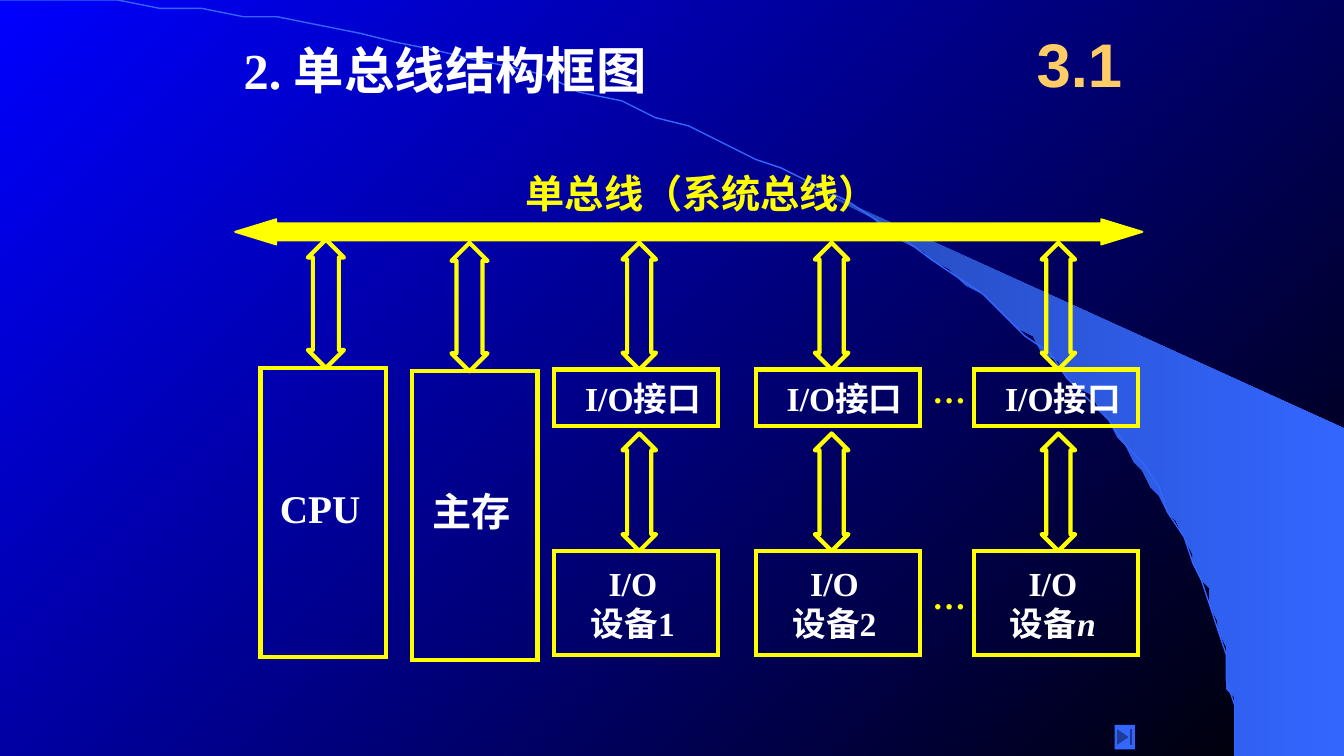
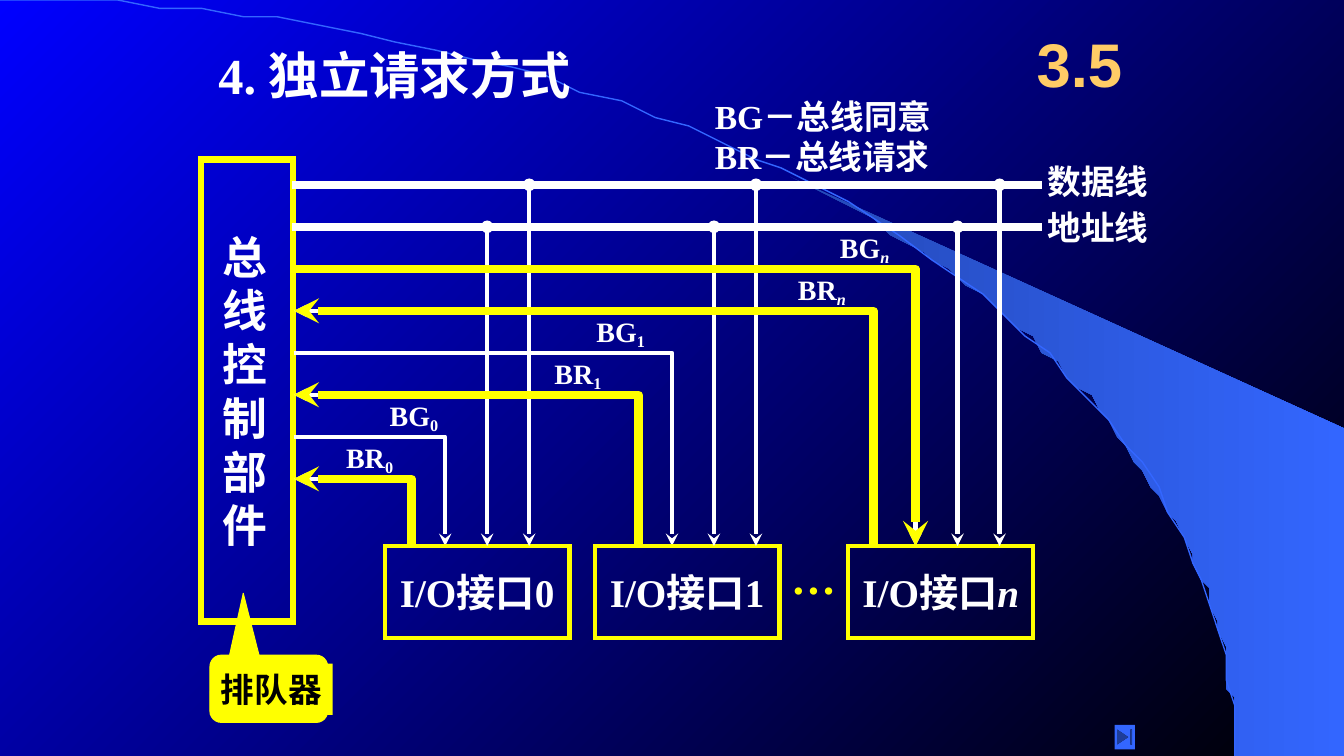
from dataclasses import dataclass
from math import asin, cos, pi, sin
from typing import NamedTuple, Optional

from lxml.etree import SubElement
from pptx import Presentation
from pptx.dml.color import RGBColor
from pptx.enum.shapes import MSO_CONNECTOR, MSO_SHAPE
from pptx.enum.text import MSO_ANCHOR, MSO_AUTO_SIZE, PP_ALIGN
from pptx.oxml.ns import qn
from pptx.util import Emu, Pt

# Grid: the slide is 160 columns by 90 rows, each cell 1/12 inch
COLS, ROWS = 160, 90
CELL = 76200

BLUE, BLACK, WHITE, YELLOW = "0000FF", "000000", "FFFFFF", "FFFF00"
SKY, DEEP, GOLD = "3366FF", "2449B6", "FFCC66"
SERIF, SANS, HAN = "Times New Roman", "Arial", "Noto Sans CJK SC"


class Box(NamedTuple):
    x: float
    y: float
    w: float
    h: float


class Run(NamedTuple):
    text: str
    italic: bool = False
    sub: bool = False


@dataclass
class Style:
    size: float
    color: str = WHITE
    font: str = SERIF
    align: PP_ALIGN = PP_ALIGN.LEFT
    anchor: MSO_ANCHOR = MSO_ANCHOR.MIDDLE


@dataclass
class Signal:
    name: str
    index: Run
    col: float
    row: float
    label_x: float
    grant: bool
    strong: bool


@dataclass
class Interface:
    left: float
    index: Run
    address: float
    data: float


TITLE = Style(36, anchor=MSO_ANCHOR.TOP)
LABEL = Style(24)
CENTRED = Style(28, align=PP_ALIGN.CENTER)
SMALL = Style(24, align=PP_ALIGN.CENTER)


def rgb(code: str) -> RGBColor:
    return RGBColor.from_string(code)


def u(cells: float) -> Emu:
    return Emu(round(cells * CELL))


def place(sp, box: Box) -> None:
    sp.left, sp.top, sp.width, sp.height = map(u, box)


def write(sp, paras: list, st: Style, dx: float = 0, dy: float = 0) -> None:
    """Fill a shape with paragraphs of runs; dx and dy shift the text."""
    tf = sp.text_frame
    tf.word_wrap = True
    tf.auto_size = MSO_AUTO_SIZE.NONE
    tf.vertical_anchor = st.anchor
    tf.margin_left, tf.margin_right = u(max(0, 2 * dx)), u(max(0, -2 * dx))
    tf.margin_top, tf.margin_bottom = u(max(0, 2 * dy)), u(max(0, -2 * dy))
    for i, runs in enumerate(paras):
        p = tf.add_paragraph() if i else tf.paragraphs[0]
        p.alignment = st.align
        for run in runs:
            r = p.add_run()
            r.text = run.text
            r.font.name, r.font.size, r.font.bold = st.font, Pt(st.size), True
            r.font.color.rgb = rgb(st.color)
            if run.italic:
                r.font.italic = True
            if run.sub:
                r.font.element.set("baseline", "-20000") if hasattr(
                    r.font, "element") else r._r.get_or_add_rPr().set(
                    "baseline", "-20000")


def label(s, box: Box, paras: list, st: Style) -> None:
    sp = s.shapes.add_textbox(*map(u, box))
    write(sp, paras, st)


def paint(sp, fill: Optional[str] = None, line: Optional[str] = None,
          width: float = 3) -> None:
    sp.shadow.inherit = False
    if fill:
        sp.fill.solid()
        sp.fill.fore_color.rgb = rgb(fill)
    else:
        sp.fill.background()
    if line:
        sp.line.color.rgb = rgb(line)
        sp.line.width = Pt(width)
    else:
        sp.line.fill.background()


def preset(s, kind: MSO_SHAPE, box: Box, adj: tuple = (), **look):
    sp = s.shapes.add_shape(kind, *map(u, box))
    for i, value in enumerate(adj):
        sp.adjustments[i] = value
    paint(sp, **look)
    return sp


def frame(s, box: Box, paras: list, st: Style, width: float = 3,
          dx: float = 0, dy: float = 0) -> None:
    """Yellow outlined box with sharp corners."""
    sp = preset(s, MSO_SHAPE.RECTANGLE, box, line=YELLOW, width=width)
    SubElement(sp.element.spPr.find(qn("a:ln")), qn("a:miter"), lim="800000")
    write(sp, paras, st, dx, dy)


def outline(s, points: list, close: bool = False):
    fb = s.shapes.build_freeform(*points[0], scale=float(CELL))
    fb.add_line_segments(points[1:], close=close)
    return fb.convert_to_shape()


def ends(sp, tail: str, head: str = "none") -> None:
    ln = sp.element.spPr.find(qn("a:ln"))
    SubElement(ln, qn("a:headEnd"), type=head)
    SubElement(ln, qn("a:tailEnd"), type=tail)


def straight(s, x1: float, y1: float, x2: float, y2: float, width: float):
    c = s.shapes.add_connector(MSO_CONNECTOR.STRAIGHT, *map(u, (x1, y1, x2, y2)))
    c.line.color.rgb = rgb(WHITE)
    c.line.width = Pt(width)
    SubElement(c.element.spPr, qn("a:effectLst"))
    return c


def gradient(fill, first: str, last: str, angle: float) -> None:
    fill.gradient()
    fill.gradient_angle = angle
    for stop, color, at in zip(fill.gradient_stops, (first, last), (0, 1)):
        stop.color.rgb = rgb(color)
        stop.position = at


# Shared look
def arc(start: float, steps: int = 48) -> list:
    """Points of the elliptic sweep from an angle to the bottom edge."""
    rx, ry = 147.1, 89.9
    angles = [start + (pi / 2 - start) * i / steps for i in range(steps + 1)]
    return [(rx * sin(a), ry * (1 - cos(a))) for a in angles]


def decorate(prs, layout, s) -> None:
    """Set the master background and put the sweep on the layout."""
    gradient(prs.slide_master.background.fill, BLUE, BLACK, 315)
    beam = outline(s, arc(asin(94.3 / 147.1)) + [(159.7, 89.9), (159.7, 50.8)], True)
    paint(beam)
    gradient(beam.fill, DEEP, SKY, 0)
    curve = outline(s, arc(0))
    paint(curve, line=SKY, width=1)
    for sp in (beam, curve):
        layout.shapes.element.append(sp.element)


def start_slide(s, title: str, box: Box, section: str) -> None:
    place(s.shapes.title, box)
    write(s.shapes.title, [[Run(title)]], TITLE)
    label(s, Box(121, 2, 15, 11), [[Run(section)]],
          Style(44, GOLD, SANS, PP_ALIGN.CENTER))
    preset(s, MSO_SHAPE.ACTION_BUTTON_END, Box(132.7, 86.3, 2.4, 2.9), fill=SKY)


# Slide: single bus structure
def single_bus(s) -> None:
    start_slide(s, "2. 单总线结构框图", Box(29, 4.6, 48.6, 16), "3.1")
    label(s, Box(62.6, 20, 44, 6), [[Run("单总线（系统总线）")]],
          Style(28, YELLOW, HAN))
    preset(s, MSO_SHAPE.LEFT_RIGHT_ARROW, Box(28, 26.1, 108, 3), (0.68, 1.63),
           fill=YELLOW, line=YELLOW, width=1.38)

    def link(centre: float, top: float, bottom: float, w: float = 4) -> None:
        preset(s, MSO_SHAPE.UP_DOWN_ARROW, Box(centre - w / 2, top, w, bottom - top),
               (0.5, 0.72), line=YELLOW)

    for name, x, top, centre in (("CPU", 31, 43.8, 38.8), ("主存", 49, 44.2, 55.9)):
        frame(s, Box(x, top, 15, 34.4), [[Run(name)]], CENTRED, dx=-0.4, dy=-0.6)
        link(centre, top - 15.3, top, 4.3)

    columns = ((66, 76.1, Run("1")), (90, 99, Run("2")),
               (116, 126, Run("n", italic=True)))
    for x, centre, index in columns:
        frame(s, Box(x, 44, 19.5, 6.75), [[Run("I/O接口")]], SMALL, dx=0.8)
        frame(s, Box(x, 65.6, 19.5, 12.4),
              [[Run("I/O")], [Run("设备"), index]], SMALL, dx=-0.4)
        link(centre, 28.9, 44)
        link(centre, 51.6, 65.6)
    for y in (44, 68.6):
        label(s, Box(111, y, 5, 4.8), [[Run("…")]], Style(24, YELLOW))


# Slide: independent request
def independent_request(s) -> None:
    start_slide(s, "4. 独立请求方式", Box(26, 5.2, 53, 8), "3.5")
    data_row, address_row, port_row, edge = 22, 27, 65, 35
    zero, one, nth = Run("0", sub=True), Run("1", sub=True), Run("n", True, True)

    # Controller and its queue
    frame(s, Box(23.9, 19, 11, 55), [[Run(c)] for c in "总线控制部件"],
          Style(32, align=PP_ALIGN.CENTER), width=4.5, dx=-0.2)
    preset(s, MSO_SHAPE.ROUNDED_RECTANGULAR_CALLOUT, Box(25, 78, 14, 8),
           (-0.217, -1.422, 0.167), fill=YELLOW, line=YELLOW, width=0.75)
    tag = preset(s, MSO_SHAPE.RECTANGLE, Box(25, 79, 14.6, 6.1), fill=YELLOW)
    write(tag, [[Run("排队器")]], Style(24, BLACK, align=PP_ALIGN.CENTER))

    # Shared buses
    for row, name, middle in ((data_row, "数据线", 21.5), (address_row, "地址线", 27)):
        straight(s, edge - 0.2, row, 124, row, 6)
        label(s, Box(124.7, middle - 3, 14, 6), [[Run(name)]], LABEL)
    label(s, Box(85.1, 11.2, 31, 10),
          [[Run("BG－总线同意")], [Run("BR－总线请求")]], LABEL)

    # Request and grant wires
    signals = [
        Signal("BR", zero, 49, 57, 41.2, False, True),
        Signal("BG", zero, 53, 52, 46.4, True, False),
        Signal("BR", one, 76, 47, 66, False, True),
        Signal("BG", one, 80, 42, 71, True, False),
        Signal("BR", nth, 104, 37, 95, False, True),
        Signal("BG", nth, 109, 32, 100, True, True),
    ]

    def wire(sig: Signal, color: str, width: float) -> None:
        points = [(edge, sig.row), (sig.col, sig.row), (sig.col, port_row)]
        sp = outline(s, points if sig.grant else points[::-1])
        paint(sp, line=color, width=width)
        ends(sp, "stealth")

    for sig in signals:
        wire(sig, WHITE, 3)
        label(s, Box(sig.label_x, sig.row - 4.4, 11, 4),
              [[Run(sig.name), sig.index]], Style(20))

    # Interfaces and their bus taps
    for port in (Interface(45.8, Run("0"), 58, 63), Interface(70.8, Run("1"), 85, 90),
                 Interface(101, Run("n", italic=True), 114, 119)):
        frame(s, Box(port.left, port_row, 22, 11),
              [[Run("I/O接口"), port.index]], CENTRED)
        for col, row in ((port.address, address_row), (port.data, data_row)):
            ends(straight(s, col, row, col, port_row, 3), "stealth", "oval")
    label(s, Box(94.2, 65.6, 6, 6), [[Run("…")]], Style(32, YELLOW))

    # Highlighted wires
    for sig in signals:
        if sig.strong:
            wire(sig, YELLOW, 6)


def main() -> None:
    prs = Presentation()
    prs.slide_width, prs.slide_height = u(COLS), u(ROWS)
    layout = prs.slide_layouts.get_by_name("Title Only")
    slides = [prs.slides.add_slide(layout) for _ in range(2)]
    decorate(prs, layout, slides[0])
    single_bus(slides[0])
    independent_request(slides[1])
    prs.save("out.pptx")


if __name__ == "__main__":
    main()
